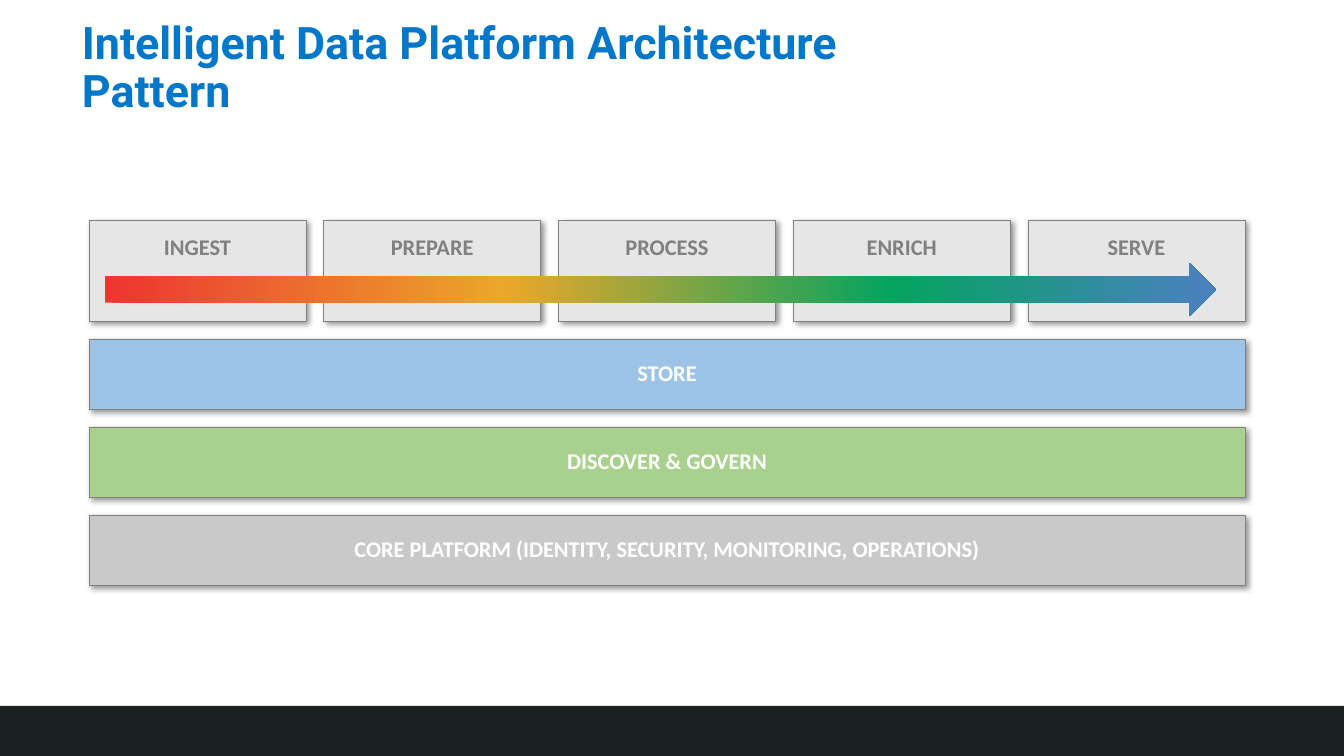
"""Build the data platform architecture slide: five pipeline stages above three shared layers."""
from pptx import Presentation
from pptx.dml.color import RGBColor
from pptx.enum.shapes import MSO_SHAPE as Shape
from pptx.enum.text import MSO_ANCHOR as Anchor, PP_ALIGN as Align
from pptx.oxml.ns import qn
from pptx.util import Emu, Pt
from lxml.etree import SubElement

SLIDE_WIDTH = 12192000


def px(*lengths):
    return [Emu(round(length * SLIDE_WIDTH / 1344)) for length in lengths]


def color(hex_code):
    return RGBColor.from_string(hex_code)


deck = Presentation()
deck.slide_width, deck.slide_height = px(1344, 756)
slide = deck.slides.add_slide(deck.slide_layouts[6])

footer = slide.shapes.add_shape(Shape.RECTANGLE, *px(0, 706, 1344, 50))
footer.shadow.inherit = False
footer.fill.solid()
footer.fill.fore_color.rgb = color("1A1F20")
footer.line.fill.background()

title = slide.shapes.add_textbox(*px(72, 38, 879, 62)).text_frame
title.word_wrap = True
title.vertical_anchor = Anchor.MIDDLE
heading = title.paragraphs[0]
heading.text = "Intelligent Data Platform Architecture Pattern"
heading.line_spacing = 0.9
heading.font.name = "Roboto"
heading.font.size = Pt(32)
heading.font.bold = True
heading.font.color.rgb = color("0077C8")

LEFT, WIDTH = 89, 1156
STAGE_TOP, STAGE_WIDTH, STAGE_HEIGHT = 220, 217, 101
LAYER_TOP, LAYER_HEIGHT, LAYER_PITCH = 339, 70, 88

stages = ["INGEST", "PREPARE", "PROCESS", "ENRICH", "SERVE"]
layers = [
    ("STORE", "9DC3E6"),
    ("DISCOVER & GOVERN", "A9D18E"),
    ("CORE PLATFORM (IDENTITY, SECURITY, MONITORING, OPERATIONS)", "C9C9C9"),
]
stage_pitch = (WIDTH - STAGE_WIDTH) / (len(stages) - 1)

blocks = [
    (label, (LEFT + i * stage_pitch, STAGE_TOP, STAGE_WIDTH, STAGE_HEIGHT),
     "E7E6E6", "808080", Anchor.TOP)
    for i, label in enumerate(stages)
] + [
    (label, (LEFT, LAYER_TOP + i * LAYER_PITCH, WIDTH, LAYER_HEIGHT),
     fill, "FFFFFF", Anchor.MIDDLE)
    for i, (label, fill) in enumerate(layers)
]

for label, bounds, fill, ink, anchor in blocks:
    block = slide.shapes.add_shape(Shape.RECTANGLE, *px(*bounds))
    block.fill.solid()
    block.fill.fore_color.rgb = color(fill)
    block.line.color.rgb = color("808080")
    block.line.width = Pt(0.5)

    block.shadow.inherit = False
    effects = block._element.spPr.find(qn("a:effectLst"))
    shadow = SubElement(effects, qn("a:outerShdw"), blurRad=str(Pt(4)), dist=str(Pt(3)),
                        dir="2700000", algn="tl", rotWithShape="0")
    shade = SubElement(shadow, qn("a:srgbClr"), val="000000")
    SubElement(shade, qn("a:alpha"), val="40000")

    frame = block.text_frame
    frame.word_wrap = True
    frame.vertical_anchor = anchor
    frame.margin_left, frame.margin_right, frame.margin_top, frame.margin_bottom = px(20, 20, 16, 16)
    caption = frame.paragraphs[0]
    caption.text = label
    caption.alignment = Align.CENTER
    caption.line_spacing = 0.9
    caption.font.name = "Calibri"
    caption.font.size = Pt(16)
    caption.font.bold = True
    caption.font.color.rgb = color(ink)

flow = slide.shapes.add_shape(Shape.RIGHT_ARROW, *px(105, 263, 1111, 53))
flow.shadow.inherit = False
flow.line.fill.background()
flow.fill.gradient()
flow.fill.gradient_angle = 0
stops = flow._element.spPr.find(qn("a:gradFill")).find(qn("a:gsLst"))
for stop in list(stops):
    stops.remove(stop)
for percent, hue in [(0, "ED3531"), (36, "EBA72A"), (71, "04A360"), (100, "4B80C1")]:
    stop = SubElement(stops, qn("a:gs"), pos=str(percent * 1000))
    SubElement(stop, qn("a:srgbClr"), val=hue)

deck.save("out.pptx")
